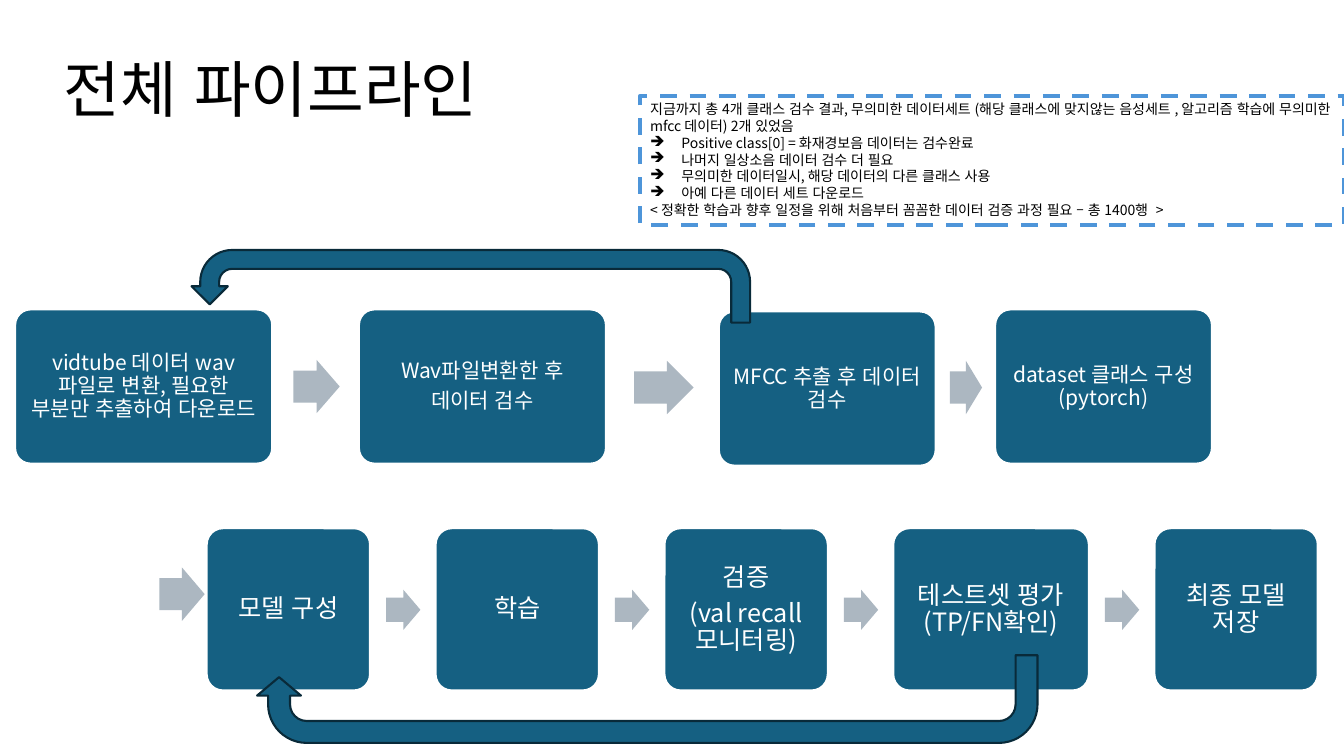
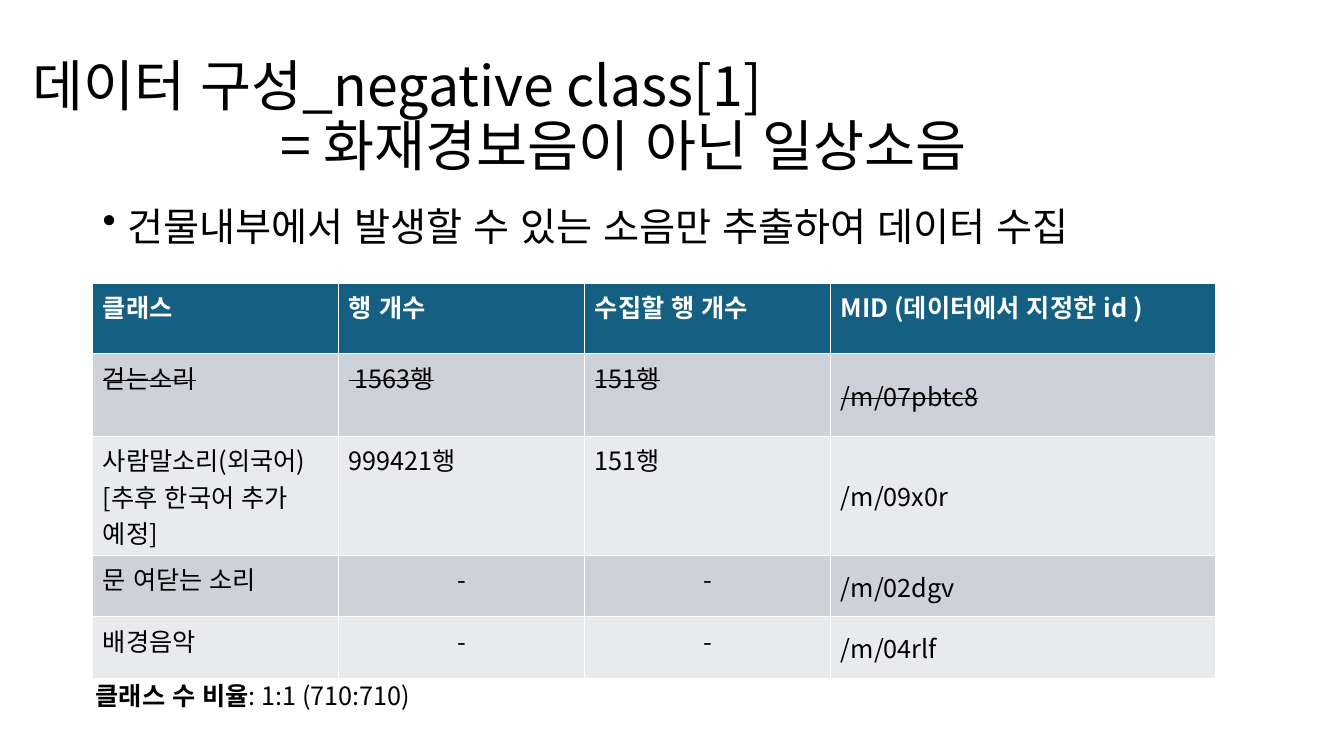
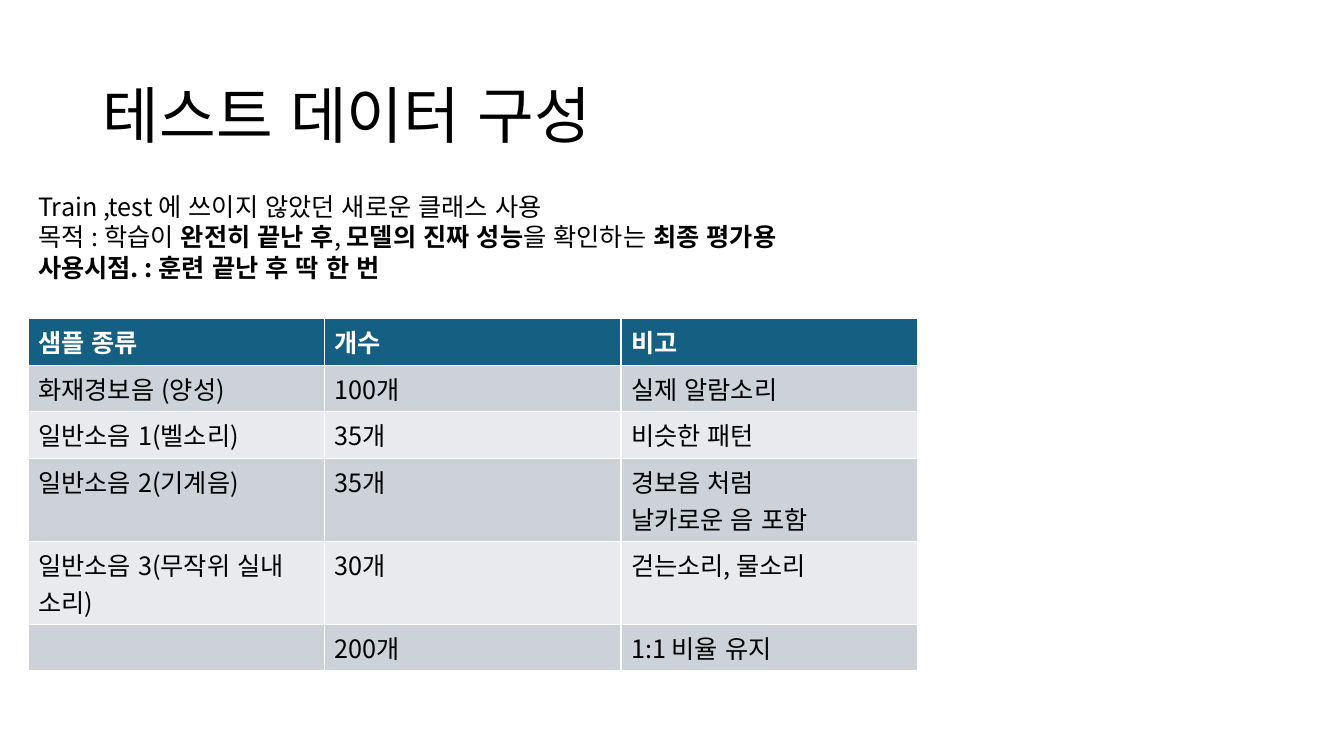
from dataclasses import dataclass

from lxml.etree import SubElement
from pptx import Presentation
from pptx.dml.color import RGBColor
from pptx.enum.dml import MSO_LINE
from pptx.enum.lang import MSO_LANGUAGE_ID
from pptx.enum.shapes import MSO_SHAPE
from pptx.enum.text import MSO_ANCHOR, MSO_AUTO_SIZE, PP_ALIGN
from pptx.oxml.ns import qn
from pptx.util import Pt

PX = 9144  # 100 px to the inch


@dataclass(frozen=True)
class Theme:
    font: str = "Noto Sans CJK KR"
    black: RGBColor = RGBColor(0, 0, 0)
    white: RGBColor = RGBColor(255, 255, 255)
    teal: RGBColor = RGBColor.from_string("156082")
    edge: RGBColor = RGBColor.from_string("092A39")
    gray: RGBColor = RGBColor.from_string("ACB7C1")
    blue: RGBColor = RGBColor.from_string("4E95D9")
    bands: tuple = (RGBColor.from_string("E8EAED"), RGBColor.from_string("CCD2D8"))
    title: float = 44
    long: float = 39.6
    lead: float = 28
    body: float = 18
    step: float = 15
    note: float = 10


T = Theme()


def write(frame, lines, size, color=T.black, lead=1.2, gap=0, align=PP_ALIGN.LEFT,
          bold=False, strike=False):
    """Fill a frame with one paragraph per line; *stars* toggle bold.

    lead is the line height in ems, or None for the natural height.
    """
    frame.word_wrap = True
    for row, line in enumerate(lines):
        para = frame.paragraphs[0] if row == 0 else frame.add_paragraph()
        look = {"alignment": align, "space_before": Pt(gap if row else 0),
                "space_after": Pt(0), "line_spacing": Pt(lead * size) if lead else 1.0}
        for key, val in look.items():
            setattr(para, key, val)
        for turn, text in enumerate(line.split("*")):
            if not text:
                continue
            run = para.add_run()
            run.text = text
            form = {"name": T.font, "size": Pt(size), "bold": bold or turn % 2 == 1,
                    "language_id": MSO_LANGUAGE_ID.KOREAN}
            for key, val in form.items():
                setattr(run.font, key, val)
            run.font.color.rgb = color
            props = run._r.get_or_add_rPr()
            SubElement(props, qn("a:ea")).set("typeface", T.font)
            if strike:
                props.set("strike", "sngStrike")


def grid(slide, left, top, cols, rows, cells, gone=(), mid=()):
    """Add a banded table; gone lists struck rows, mid the middle-set columns."""
    table = slide.shapes.add_table(len(rows), len(cols), left * PX, top * PX,
                                   sum(cols) * PX, sum(rows) * PX).table
    for col, width in zip(table.columns, cols):
        col.width = width * PX
    for row, height in zip(table.rows, rows):
        row.height = height * PX
    for r, line in enumerate(cells):
        for c, text in enumerate(line):
            cell = table.cell(r, c)
            cell.fill.solid()
            cell.fill.fore_color.rgb = T.bands[r % 2] if r else T.teal
            if r and c in mid:
                cell.vertical_anchor = MSO_ANCHOR.MIDDLE
            write(cell.text_frame, text.split("\n"), T.body,
                  T.black if r else T.white, lead=None, bold=r == 0, strike=r in gone,
                  align=PP_ALIGN.CENTER if text == "-" else PP_ALIGN.LEFT)


deck = Presentation()
deck.slide_width, deck.slide_height = 1333 * PX, 750 * PX

# Titles
heads = [
    (["전체 파이프라인"], T.title, (53, 45, 1150, 145), MSO_ANCHOR.TOP),
    (["데이터 구성_negative class[1]", "= 화재경보음이 아닌 일상소음"],
     T.long, (22, 40, 1291, 145), MSO_ANCHOR.MIDDLE),
    (["테스트 데이터 구성"], T.title, (92, 40, 1150, 145), MSO_ANCHOR.MIDDLE),
]
for lines, size, area, anchor in heads:
    title = deck.slides.add_slide(deck.slide_layouts[5]).shapes.title
    for key, val in zip(("left", "top", "width", "height"), area):
        setattr(title, key, val * PX)
    frame = title.text_frame
    for key, val in {"auto_size": MSO_AUTO_SIZE.NONE, "vertical_anchor": anchor,
                     "margin_top": 13 * PX}.items():
        setattr(frame, key, val)
    write(frame, lines, size, lead=1.08)
    for para in frame.paragraphs[1:]:
        para._p.get_or_add_pPr().set("marL", str(246 * PX))
flow, data, test = deck.slides

# Pipeline: steps as (left, top, width, height, size, lines)
steps = [
    (15, 307, 255, 153, T.step, ["vidtube 데이터 wav 파일로 변환, 필요한 부분만 추출하여 다운로드"]),
    (356, 307, 245, 153, T.step, ["Wav파일변환한 후", "데이터 검수"]),
    (713, 309, 215, 153, T.step, ["MFCC 추출 후 데이터 검수"]),
    (987, 307, 215, 153, T.step, ["dataset 클래스 구성(pytorch)"]),
]
hops = [(291, 357, 46, 53), (629, 358, 59, 53), (942, 358, 32, 53), (158, 563, 45, 53)]
left = 205
for width, lines in [
    (162, ["모델 구성"]),
    (162, ["학습"]),
    (162, ["검증", "(val recall 모니터링)"]),
    (194, ["테스트셋 평가 (TP/FN확인)"]),
    (162, ["최종 모델 저장"]),
]:
    if left > 205:
        hops.append((left - 49, 585, 34, 40))
    steps.append((left, 524, width, 161, T.body, lines))
    left += width + 65

for *area, size, lines in steps:
    box = flow.shapes.add_shape(MSO_SHAPE.ROUNDED_RECTANGLE, *(n * PX for n in area))
    box.shadow.inherit = False
    box.adjustments[0] = 0.1
    box.fill.solid()
    box.fill.fore_color.rgb = T.teal
    box.line.color.rgb = T.white
    box.line.width = Pt(1.5)
    for side in ("left", "top", "right", "bottom"):
        setattr(box.text_frame, f"margin_{side}", 10 * PX)
    write(box.text_frame, lines, size, T.white, lead=1.08, gap=0.35 * size,
          align=PP_ALIGN.CENTER)

for area in hops:
    hop = flow.shapes.add_shape(MSO_SHAPE.RIGHT_ARROW, *(n * PX for n in area))
    hop.shadow.inherit = False
    hop.adjustments[0] = 0.6
    hop.fill.solid()
    hop.fill.fore_color.rgb = T.gray
    hop.line.fill.background()

# Return loops
for area, bends, turn, flip in [
    ((255, 650, 774, 87), (0.25, 0.25, 0.21, 0.44, 0.75), 180, False),
    ((190, 248, 554, 72), (0.26, 0.25, 0.25, 0.44, 0.75), 0, True),
]:
    loop = flow.shapes.add_shape(MSO_SHAPE.U_TURN_ARROW, *(n * PX for n in area))
    loop.shadow.inherit = False
    for spot, bend in enumerate(bends):
        loop.adjustments[spot] = bend
    loop.rotation = turn
    if flip:
        loop._element.spPr.xfrm.set("flipH", "1")
    loop.fill.solid()
    loop.fill.fore_color.rgb = T.teal
    loop.line.color.rgb = T.edge
    loop.line.width = Pt(1.5)

# Review note
note = flow.shapes.add_shape(MSO_SHAPE.RECTANGLE, 635 * PX, 95 * PX, 698 * PX, 128 * PX)
note.shadow.inherit = False
note.fill.background()
note.line.color.rgb = T.blue
note.line.width = Pt(3)
note.line.dash_style = MSO_LINE.DASH
note.text_frame.vertical_anchor = MSO_ANCHOR.TOP
write(note.text_frame, [
    "지금까지 총 4개 클래스 검수 결과, 무의미한 데이터세트 (해당 클래스에 맞지않는 음성세트 , "
    "알고리즘 학습에 무의미한 mfcc 데이터) 2개 있었음",
    "Positive class[0] = 화재경보음 데이터는 검수완료",
    "나머지 일상소음 데이터 검수 더 필요",
    "무의미한 데이터일시, 해당 데이터의 다른 클래스 사용",
    "아예 다른 데이터 세트 다운로드",
    "< 정확한 학습과 향후 일정을 위해 처음부터 꼼꼼한 데이터 검증 과정 필요 – 총 1400행  >",
], T.note)

# Negative class
lead = data.shapes.add_textbox(92 * PX, 200 * PX, 1150 * PX, 476 * PX).text_frame
write(lead, ["건물내부에서 발생할 수 있는 소음만 추출하여 데이터 수집"], T.lead, lead=1.08)

for para, mark, dent in [(p, "➔", 31) for p in note.text_frame.paragraphs[1:5]] + [
        (lead.paragraphs[0], "•", 25)]:
    props = para._p.get_or_add_pPr()
    props.set("marL", str(dent * PX))
    props.set("indent", str(-dent * PX))
    SubElement(props, qn("a:buChar")).set("char", mark)

grid(data, 92, 281, (244, 244, 244, 382), (70, 82, 118, 61, 61), [
    ("클래스", "행 개수", "수집할 행 개수", "MID (데이터에서 지정한 id )"),
    ("걷는소리", " 1563행", "151행", "/m/07pbtc8"),
    ("사람말소리(외국어)\n[추후 한국어 추가 예정]", "999421행", "151행", "/m/09x0r"),
    ("문 여닫는 소리", "-", "-", "/m/02dgv"),
    ("배경음악", "-", "-", "/m/04rlf"),
], gone=(1,), mid=(3,))
ratio = data.shapes.add_textbox(85 * PX, 670 * PX, 688 * PX, 40 * PX)
write(ratio.text_frame, ["*클래스 수 비율*: 1:1 (710:710)"], T.body)

# Test data
grid(test, 28, 316, (294, 294, 294), (46, 46, 46, 82, 82, 46), [
    ("샘플 종류", "개수", "비고"),
    ("화재경보음 (양성)", "100개", "실제 알람소리"),
    ("일반소음 1(벨소리)", "35개", "비슷한 패턴"),
    ("일반소음 2(기계음)", "35개", "경보음 처럼\n날카로운 음 포함"),
    ("일반소음 3(무작위 실내 소리)", "30개", "걷는소리, 물소리"),
    ("", "200개", "1:1 비율 유지"),
])
goal = test.shapes.add_textbox(28 * PX, 185 * PX, 919 * PX, 101 * PX)
write(goal.text_frame, [
    "Train ,test 에 쓰이지 않았던 새로운 클래스 사용",
    "목적 : 학습이 *완전히 끝난 후*, *모델의 진짜 성능*을 확인하는 *최종 평가용*",
    "*사용시점. : 훈련 끝난 후 딱 한 번*",
], T.body)

deck.save("out.pptx")
